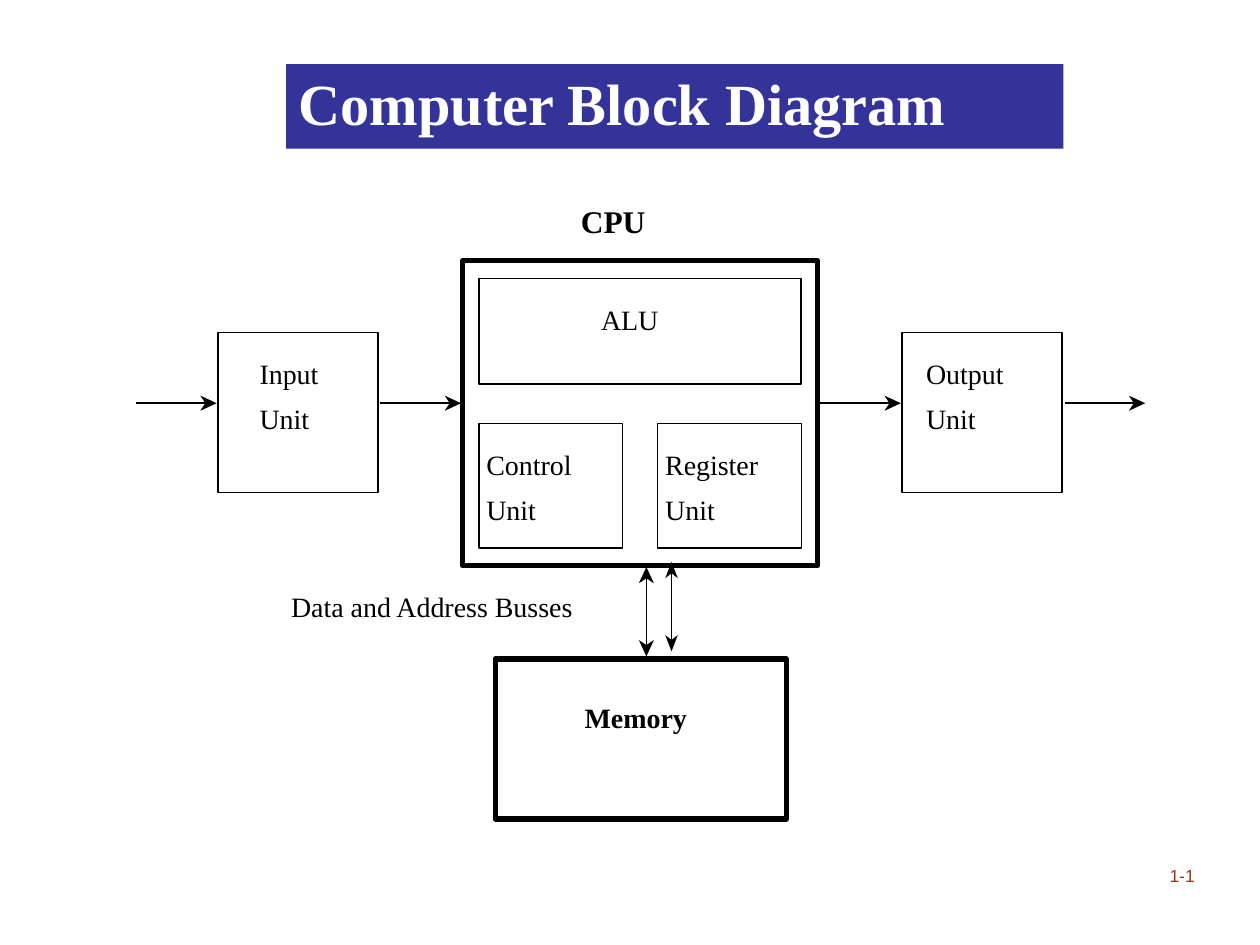
from dataclasses import dataclass

from lxml import etree
from pptx import Presentation
from pptx.dml.color import RGBColor
from pptx.enum import shapes, text
from pptx.oxml import ns
from pptx.util import Inches, Pt


@dataclass(frozen=True)
class Theme:
    ink: RGBColor = RGBColor(0, 0, 0)
    paper: RGBColor = RGBColor(0xFF, 0xFF, 0xFF)
    banner: RGBColor = RGBColor(0x33, 0x33, 0x99)
    page: RGBColor = RGBColor(0x9A, 0x34, 0x16)
    serif: str = "Times New Roman"
    sans: str = "Arial"
    title_size: float = 33.3
    heading_size: float = 18
    label_size: float = 16
    page_size: float = 10
    thin: float = 0.88
    thick: float = 3


THEME = Theme()
LINE_PITCH = 0.36
HEAD_LENGTH = 0.13
HEAD_NOTCH = 0.09
SHAFT_GAP = 0.08
FLOW_Y = 3.2
FLOW_LENGTH = 0.64
BUS_LENGTH = 0.71


def style(paragraph, size, color=THEME.ink, bold=False, name=THEME.serif):
    font = paragraph.font
    font.name, font.size, font.bold = name, Pt(size), bold
    font.color.rgb = color


def set_margins(frame, horizontal, vertical):
    frame.margin_left = frame.margin_right = Inches(horizontal)
    frame.margin_top = frame.margin_bottom = Inches(vertical)


def add_title(slide, wording):
    title = slide.shapes.title
    title.left, title.top = Inches(2.27), Inches(0.51)
    title.width, title.height = Inches(6.17), Inches(0.67)
    title.fill.solid()
    title.fill.fore_color.rgb = THEME.banner
    frame = title.text_frame
    frame.text = wording
    frame.word_wrap = True
    frame.auto_size = text.MSO_AUTO_SIZE.NONE
    frame.vertical_anchor = text.MSO_ANCHOR.MIDDLE
    set_margins(frame, 0.1, 0.05)
    heading = frame.paragraphs[0]
    heading.alignment = text.PP_ALIGN.LEFT
    heading.line_spacing = 0.9
    style(heading, THEME.title_size, THEME.paper, bold=True)


def add_page_number(slide, wording):
    box = slide.shapes.add_textbox(Inches(8.83), Inches(6.58), Inches(0.75), Inches(0.5))
    frame = box.text_frame
    frame.text = wording
    frame.word_wrap = True
    frame.vertical_anchor = text.MSO_ANCHOR.BOTTOM
    set_margins(frame, 0.1, 0.05)
    number = frame.paragraphs[0]
    number.alignment = text.PP_ALIGN.RIGHT
    style(number, THEME.page_size, THEME.page, name=THEME.sans)


def add_block(slide, left, top, width, height, weight=THEME.thin):
    block = slide.shapes.add_shape(
        shapes.MSO_SHAPE.RECTANGLE, Inches(left), Inches(top), Inches(width), Inches(height))
    block.shadow.inherit = False
    block.fill.solid()
    block.fill.fore_color.rgb = THEME.paper
    block.line.color.rgb = THEME.ink
    block.line.width = Pt(weight)


def add_label(slide, left, top, width, *lines, size=THEME.label_size, bold=False):
    for row, wording in enumerate(lines):
        box = slide.shapes.add_textbox(
            Inches(left), Inches(top + row * LINE_PITCH), Inches(width), Inches(size / 60))
        frame = box.text_frame
        frame.text = wording
        frame.word_wrap = False
        frame.auto_size = text.MSO_AUTO_SIZE.SHAPE_TO_FIT_TEXT
        set_margins(frame, 0, 0)
        style(frame.paragraphs[0], size, bold=bold)


def add_shaft(slide, x1, y1, x2, y2):
    shaft = slide.shapes.add_connector(
        shapes.MSO_CONNECTOR.STRAIGHT, Inches(x1), Inches(y1), Inches(x2), Inches(y2))
    shaft.line.color.rgb = THEME.ink
    shaft.line.width = Pt(THEME.thin)
    etree.SubElement(shaft._element.spPr, ns.qn("a:effectLst"))


def add_head(slide, x, y, dx, dy, half_width=0.06):
    def point(back, side):
        return Inches(x - back * dx - side * dy), Inches(y - back * dy + side * dx)

    outline = [point(HEAD_LENGTH, half_width), point(0, 0),
               point(HEAD_LENGTH, -half_width), point(HEAD_NOTCH, 0)]
    builder = slide.shapes.build_freeform(*outline[0])
    builder.add_line_segments(outline[1:], close=True)
    head = builder.convert_to_shape()
    head.shadow.inherit = False
    head.fill.solid()
    head.fill.fore_color.rgb = THEME.ink
    head.line.fill.background()


def add_flow(slide, start):
    tip = start + FLOW_LENGTH
    add_shaft(slide, start, FLOW_Y, tip - SHAFT_GAP, FLOW_Y)
    add_head(slide, tip, FLOW_Y, 1, 0)


def add_bus(slide, x, top, half_width):
    bottom = top + BUS_LENGTH
    add_shaft(slide, x, bottom - SHAFT_GAP, x, top + SHAFT_GAP)
    add_head(slide, x, bottom, 0, 1, half_width)
    add_head(slide, x, top, 0, -1, half_width)


def main():
    deck = Presentation()
    deck.slide_width, deck.slide_height = Inches(10), Inches(7.5)
    slide = deck.slides.add_slide(deck.slide_layouts[5])
    add_title(slide, "Computer Block Diagram")
    add_page_number(slide, "1-1")

    add_block(slide, 3.67, 2.07, 2.82, 2.42, THEME.thick)
    add_label(slide, 4.61, 1.6, 0.56, "CPU", size=THEME.heading_size, bold=True)
    add_block(slide, 3.93, 5.23, 2.31, 1.27, THEME.thick)
    add_label(slide, 4.64, 5.56, 0.86, "Memory", bold=True)
    add_block(slide, 3.8, 2.21, 2.56, 0.84)
    add_label(slide, 4.77, 2.4, 0.48, "ALU")

    for left, indent, width, name in ((1.73, 0.33, 0.49, "Input"), (7.16, 0.19, 0.64, "Output")):
        add_block(slide, left, 2.64, 1.27, 1.27)
        add_label(slide, left + indent, 2.83, width, name, "Unit")
    for left, width, name in ((3.8, 0.7, "Control"), (5.22, 0.76, "Register")):
        add_block(slide, left, 3.36, 1.14, 0.99)
        add_label(slide, left + 0.06, 3.55, width, name, "Unit")

    for start in (1.08, 3.02, 6.51, 8.45):
        add_flow(slide, start)
    add_bus(slide, 5.13, 4.5, 0.06)
    add_bus(slide, 5.33, 4.46, 0.05)
    add_label(slide, 2.31, 4.68, 2.28, "Data and Address Busses")

    deck.save("out.pptx")


if __name__ == "__main__":
    main()
